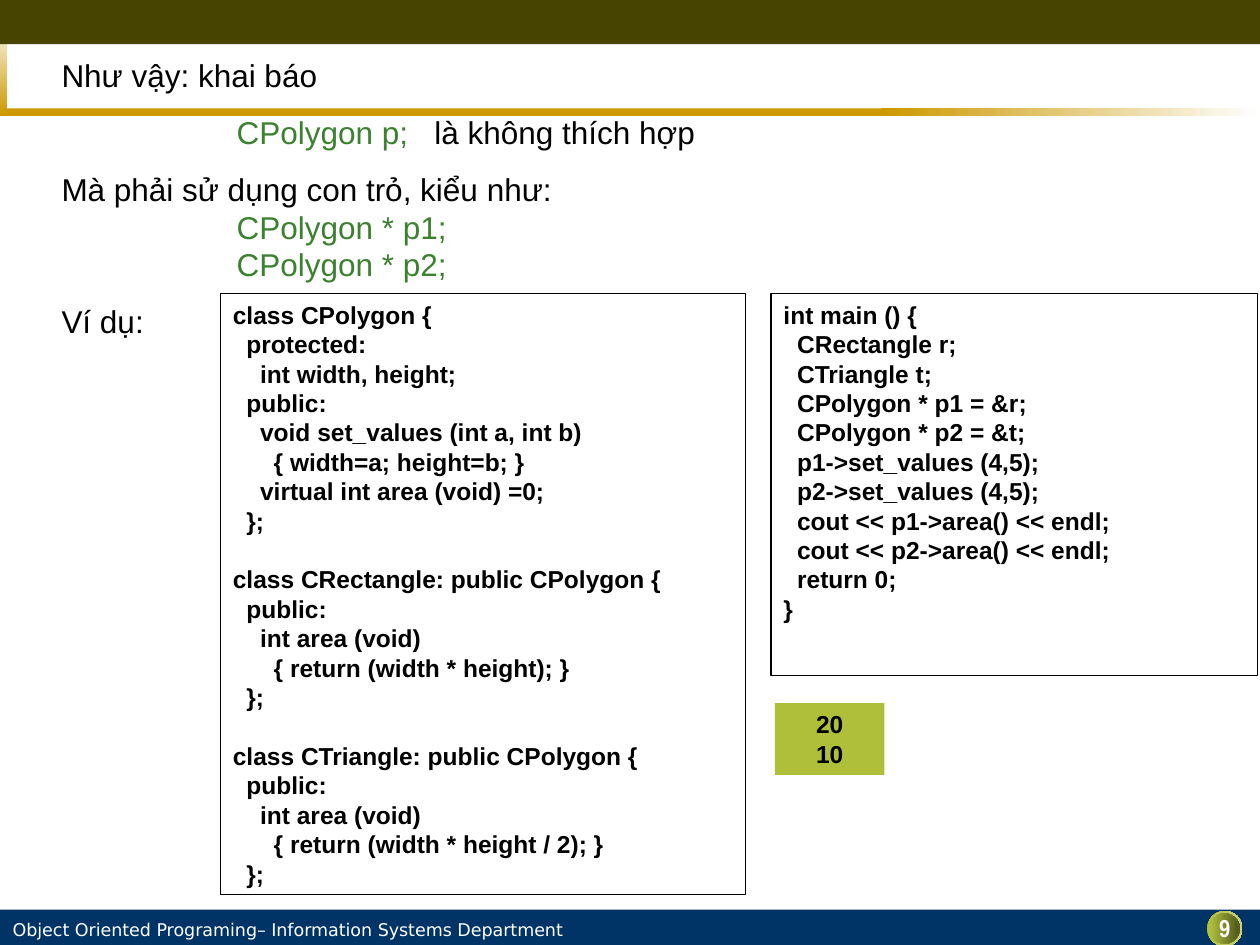
from dataclasses import dataclass

from lxml.etree import SubElement
from pptx import Presentation
from pptx.dml.color import RGBColor
from pptx.enum.shapes import MSO_SHAPE
from pptx.enum.text import MSO_ANCHOR, PP_ALIGN
from pptx.oxml.ns import qn
from pptx.util import Inches, Pt


@dataclass(frozen=True)
class Theme:
    gold: str = "CC9900"
    olive: str = "464400"
    navy: str = "003366"
    lime: str = "AFBE3C"
    result: str = "AFBF39"
    green: str = "3B812F"
    black: str = "000000"
    white: str = "FFFFFF"
    font: str = "Arial"
    footer_font: str = "DejaVu Sans"
    number_font: str = "Arial Narrow"
    body: float = 18
    code: float = 14
    footer: float = 10
    body_line: float = 21.4
    code_line: float = 16.8
    body_gap: float = 11.2


T = Theme()
CODE_INDENT = 0.108
BODY_TABS = (1.39, 2.96)

BODY = [
    (0, [("Như vậy: khai báo", T.black)]),
    (T.body_gap, [("\tCPolygon p;", T.green), ("\tlà không thích hợp", T.black)]),
    (T.body_gap, [("Mà phải sử dụng con trỏ, kiểu như:", T.black)]),
    (0, [("\tCPolygon * p1;", T.green)]),
    (0, [("\tCPolygon * p2;", T.green)]),
    (T.body_gap, [("Ví dụ:", T.black)]),
]

CLASSES = """class CPolygon {
  protected:
    int width, height;
  public:
    void set_values (int a, int b)
      { width=a; height=b; }
    virtual int area (void) =0;
  };

class CRectangle: public CPolygon {
  public:
    int area (void)
      { return (width * height); }
  };

class CTriangle: public CPolygon {
  public:
    int area (void)
      { return (width * height / 2); }
  };"""

MAIN = """int main () {
  CRectangle r;
  CTriangle t;
  CPolygon * p1 = &r;
  CPolygon * p2 = &t;
  p1->set_values (4,5);
  p2->set_values (4,5);
  cout << p1->area() << endl;
  cout << p2->area() << endl;
  return 0;
}"""


def rgb(color):
    return RGBColor.from_string(color)


def box(at):
    return [Inches(v) for v in at]


def add_panel(shapes, at, fill=None, line=None, kind=MSO_SHAPE.RECTANGLE, angle=0):
    sp = shapes.add_shape(kind, *box(at))
    sp.shadow.inherit = False
    if fill is None:
        sp.fill.background()
    elif isinstance(fill, tuple):
        sp.fill.gradient()
        sp.fill.gradient_angle = angle
        for stop, color, pos in zip(sp.fill.gradient_stops, fill, (0, 1)):
            stop.color.rgb = rgb(color)
            stop.position = pos
    else:
        sp.fill.solid()
        sp.fill.fore_color.rgb = rgb(fill)
    if line:
        sp.line.color.rgb = rgb(line)
        sp.line.width = Pt(0.75)
    else:
        sp.line.fill.background()
    return sp


def set_font(p, size, name=T.font, color=T.black, bold=False):
    f = p.font
    f.size, f.name, f.bold = Pt(size), name, bold
    f.color.rgb = rgb(color)


def add_label(s, at, text, size, name, bold=False, align=PP_ALIGN.LEFT, inset=0):
    tf = s.shapes.add_textbox(*box(at)).text_frame
    tf.word_wrap = True
    tf.margin_left = tf.margin_right = Inches(inset)
    tf.margin_top = tf.margin_bottom = 0
    p = tf.paragraphs[0]
    p.text, p.alignment = text, align
    set_font(p, size, name, T.white, bold)


def add_tabs(p):
    tabs = SubElement(p._p.get_or_add_pPr(), qn("a:tabLst"))
    for pos in BODY_TABS:
        SubElement(tabs, qn("a:tab"), pos=str(Inches(pos)), algn="l")


def add_body(s, at, lines):
    tf = s.shapes.add_textbox(*box(at)).text_frame
    tf.word_wrap = True
    for i, (gap, runs) in enumerate(lines):
        p = tf.add_paragraph() if i else tf.paragraphs[0]
        p.line_spacing, p.space_before = Pt(T.body_line), Pt(gap)
        add_tabs(p)
        set_font(p, T.body)
        for text, color in runs:
            r = p.add_run()
            r.text = text
            r.font.color.rgb = rgb(color)


def add_code(s, at, code, fill=None, line=None, align=PP_ALIGN.LEFT):
    tf = add_panel(s.shapes, at, fill, line).text_frame
    tf.word_wrap = True
    tf.vertical_anchor = MSO_ANCHOR.TOP
    p = None
    for block in code.split("\n\n"):
        for i, row in enumerate(block.split("\n")):
            new_block = p is not None and i == 0
            p = tf.paragraphs[0] if p is None else tf.add_paragraph()
            text = row.lstrip()
            level = (len(row) - len(text)) // 2
            p.text, p.alignment = text, align
            p.line_spacing = Pt(T.code_line)
            p.space_before = Pt(T.code_line if new_block else 0)
            pPr = p._p.get_or_add_pPr()
            pPr.set("marL", str(Inches(level * CODE_INDENT)))
            pPr.set("indent", "0")
            set_font(p, T.code, bold=True)


def add_frame(s):
    add_panel(s.shapes, (0, 0.86, 7, 0.06), T.gold)
    add_panel(s.shapes, (0, 0.13, 0.06, 0.79), (T.white, T.gold), angle=270)
    add_panel(s.shapes, (7, 0.86, 3, 0.06), (T.gold, T.white))
    add_panel(s.shapes, (0, 0, 10, 0.35), T.olive)
    add_panel(s.shapes, (0, 7.22, 10, 0.28), T.navy)
    add_label(s, (0.08, 7.29, 5.15, 0.17),
              "Object Oriented Programing– Information Systems Department",
              T.footer, T.footer_font, inset=0.02)


def add_page_ball(s, number):
    ball = s.shapes.add_group_shape()
    rings = [(0.28, T.white), (0.28, "CAD47D"), (0.24, "5F6720"),
             (0.24, "555C1D"), (0.22, "51581C")]
    for d, color in rings:
        add_panel(ball.shapes, (9.72 - d / 2, 7.37 - d / 2, d, d),
                  (T.lime, color), kind=MSO_SHAPE.OVAL)
    add_label(s, (9.47, 7.25, 0.5, 0.27), number, T.code, T.number_font,
              bold=True, align=PP_ALIGN.CENTER)


def main():
    prs = Presentation()
    prs.slide_width, prs.slide_height = Inches(10), Inches(7.5)
    s = prs.slides.add_slide(prs.slide_layouts[6])
    add_frame(s)
    add_page_ball(s, "9")
    add_body(s, (0.39, 0.4, 8.9, 2.37), BODY)
    add_code(s, (1.75, 2.33, 4.17, 4.77), CLASSES, line=T.black)
    add_code(s, (6.12, 2.33, 3.86, 3.03), MAIN, line=T.black)
    add_code(s, (6.15, 5.58, 0.87, 0.57), "20\n10", fill=T.result,
             align=PP_ALIGN.CENTER)
    prs.save("out.pptx")


if __name__ == "__main__":
    main()
